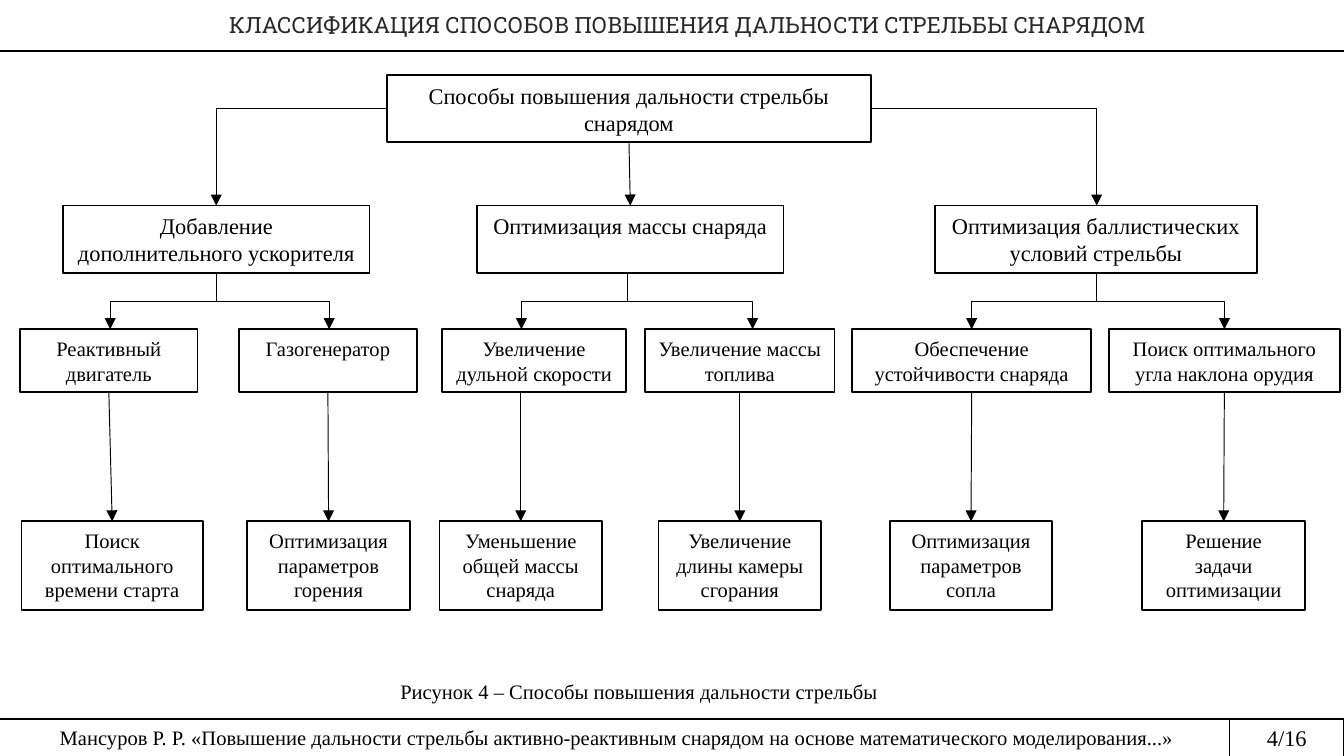
from lxml.etree import SubElement
from pptx import Presentation
from pptx.dml.color import RGBColor
from pptx.enum.shapes import MSO_CONNECTOR, MSO_SHAPE
from pptx.enum.text import MSO_ANCHOR, MSO_AUTO_SIZE, PP_ALIGN
from pptx.oxml.ns import qn
from pptx.util import Inches, Pt

BLACK = RGBColor(0, 0, 0)
WHITE = RGBColor(255, 255, 255)
GRAPHITE = RGBColor(0x29, 0x29, 0x29)
BODY_FONT = "Times New Roman"
TITLE_FONT = "Roboto Slab"

TITLE = "КЛАССИФИКАЦИЯ СПОСОБОВ ПОВЫШЕНИЯ ДАЛЬНОСТИ СТРЕЛЬБЫ СНАРЯДОМ"
CAPTION = "Рисунок 4 – Способы повышения дальности стрельбы"
FOOTER = ("Мансуров Р. Р. «Повышение дальности стрельбы активно-реактивным "
          "снарядом на основе математического моделирования...»")
PAGE = "4/16"

ROOT = ("Способы повышения дальности стрельбы снарядом", 2.88, 3.6)
BRANCHES = [
    {"box": ("Добавление дополнительного ускорителя", 0.47, 2.28), "stem": 1.61,
     "methods": [
         {"box": ("Реактивный двигатель", 0.15, 1.32), "entry": 0.82,
          "result": ("Поиск оптимального времени старта", 0.16, 1.35)},
         {"box": ("Газогенератор", 1.78, 1.32), "entry": 2.45,
          "result": ("Оптимизация параметров горения", 1.84, 1.21)}]},
    {"box": ("Оптимизация массы снаряда", 3.55, 2.28), "stem": 4.67,
     "methods": [
         {"box": ("Увеличение дульной скорости", 3.29, 1.37), "entry": 3.88,
          "result": ("Уменьшение общей массы снаряда", 3.27, 1.21)},
         {"box": ("Увеличение массы топлива", 4.8, 1.41), "entry": 5.6,
          "result": ("Увеличение длины камеры сгорания", 4.9, 1.21)}]},
    {"box": ("Оптимизация баллистических\nусловий стрельбы", 6.96, 2.39), "stem": 8.16,
     "methods": [
         {"box": ("Обеспечение устойчивости снаряда", 6.34, 1.78), "entry": 7.23,
          "result": ("Оптимизация параметров сопла", 6.62, 1.21)},
         {"box": ("Поиск оптимального угла наклона орудия", 8.25, 1.72), "entry": 9.11,
          "result": ("Решение задачи оптимизации", 8.5, 1.21)}]},
]

ROOT_LEVEL = {"top": 0.56, "height": 0.5, "size": 12}
BRANCH_LEVEL = {"top": 1.53, "height": 0.5, "size": 12}
METHOD_LEVEL = {"top": 2.45, "height": 0.47, "size": 11}
RESULT_LEVEL = {"top": 3.88, "height": 0.66, "size": 11}
TOP, BOTTOM = 0, 2

presentation = Presentation()
presentation.slide_width = Inches(10)
presentation.slide_height = Inches(10 * 9 / 16)
slide = presentation.slides.add_slide(presentation.slide_layouts[5])


def write(shape, text, size=11, font=BODY_FONT, color=BLACK, align=PP_ALIGN.CENTER,
          anchor=MSO_ANCHOR.TOP, margins=(0.1, 0.05), indent=0, space_after=0):
    frame = shape.text_frame
    frame.word_wrap = True
    frame.auto_size = MSO_AUTO_SIZE.NONE
    frame.vertical_anchor = anchor
    frame.margin_left = frame.margin_right = Inches(margins[0])
    frame.margin_top = frame.margin_bottom = Inches(margins[1])
    frame.text = text
    for paragraph in frame.paragraphs:
        paragraph.alignment = align
        paragraph.space_before = Pt(0)
        paragraph.space_after = Pt(space_after)
        if indent:
            paragraph._p.get_or_add_pPr().set("indent", str(Inches(indent)))
        for run in paragraph.runs:
            run.font.name = font
            run.font.size = Pt(size)
            run.font.bold = False
            run.font.color.rgb = color


def add_box(text, left, top, width, height, line_width=1, **text_format):
    shape = slide.shapes.add_shape(MSO_SHAPE.RECTANGLE, Inches(left), Inches(top),
                                   Inches(width), Inches(height))
    shape.shadow.inherit = False
    shape.fill.solid()
    shape.fill.fore_color.rgb = WHITE
    shape.line.color.rgb = BLACK
    shape.line.width = Pt(line_width)
    write(shape, text, **text_format)
    return shape


def add_node(node, level):
    text, left, width = node
    return add_box(text, left, level["top"], width, level["height"], size=level["size"])


def add_line(start, end, kind=MSO_CONNECTOR.STRAIGHT, width=0.5, arrow=True):
    connector = slide.shapes.add_connector(kind, *map(Inches, start + end))
    connector.line.color.rgb = BLACK
    connector.line.width = Pt(width)
    if arrow:
        SubElement(connector.line._get_or_add_ln(), qn("a:tailEnd"), type="triangle")
    SubElement(connector._element.spPr, qn("a:effectLst"))
    return connector


def add_corner(start, end):
    connector = add_line(start, end, MSO_CONNECTOR.ELBOW)
    connector._element.spPr.find(qn("a:prstGeom")).set("prst", "bentConnector2")


def add_fork(start, end):
    center_x, center_y = (start[0] + end[0]) / 2, (start[1] + end[1]) / 2
    half_drop, half_span = (end[1] - start[1]) / 2, abs(end[0] - start[0]) / 2
    rightward = end[0] > start[0]
    offset = -half_drop if rightward else half_drop
    connector = add_line((center_x - offset, center_y - half_span),
                         (center_x + offset, center_y + half_span), MSO_CONNECTOR.ELBOW)
    degrees = 270 if rightward else 90
    connector._element.spPr.find(qn("a:xfrm")).set("rot", str(degrees * 60000))


def middle(node):
    return node[1] + node[2] / 2


def bottom(level):
    return level["top"] + level["height"]


title = slide.shapes.title
title.left, title.top, title.width, title.height = map(Inches, (0, 0, 10, 0.37))
title.fill.solid()
title.fill.fore_color.rgb = WHITE
write(title, TITLE, size=12, font=TITLE_FONT, color=GRAPHITE, anchor=MSO_ANCHOR.MIDDLE,
      margins=(0.01, 0.01), indent=0.23)
add_line((0, 0.38), (10, 0.38), width=0.75, arrow=False)

footer = slide.shapes.add_textbox(*map(Inches, (0, 5.36, 9.18, 0.26)))
write(footer, FOOTER, anchor=MSO_ANCHOR.MIDDLE, margins=(0.07, 0.04), space_after=4.5)
add_line((0, 5.35), (9.18, 5.35), width=0.75, arrow=False)
add_box(PAGE, 9.15, 5.35, 0.85, 0.28, line_width=0.75, size=12, anchor=MSO_ANCHOR.MIDDLE)
caption = slide.shapes.add_textbox(*map(Inches, (2.88, 5, 5.08, 0.29)))
write(caption, CAPTION, align=PP_ALIGN.LEFT)

root_shape = add_node(ROOT, ROOT_LEVEL)
root_side = ROOT_LEVEL["top"] + ROOT_LEVEL["height"] / 2
for branch in BRANCHES:
    stem = branch["stem"]
    branch_shape = add_node(branch["box"], BRANCH_LEVEL)
    branch_top = (stem, BRANCH_LEVEL["top"])
    if stem < ROOT[1]:
        add_corner((ROOT[1], root_side), branch_top)
    elif stem > ROOT[1] + ROOT[2]:
        add_corner((ROOT[1] + ROOT[2], root_side), branch_top)
    else:
        arrow = add_line((middle(ROOT), bottom(ROOT_LEVEL)), branch_top)
        arrow.begin_connect(root_shape, BOTTOM)
        arrow.end_connect(branch_shape, TOP)
    for method in branch["methods"]:
        method_shape = add_node(method["box"], METHOD_LEVEL)
        result_shape = add_node(method["result"], RESULT_LEVEL)
        add_fork((stem, bottom(BRANCH_LEVEL)), (method["entry"], METHOD_LEVEL["top"]))
        result_middle = middle(method["result"])
        arrow = add_line((result_middle, bottom(METHOD_LEVEL)),
                         (result_middle, RESULT_LEVEL["top"]))
        if abs(middle(method["box"]) - result_middle) < 0.03:
            arrow.begin_connect(method_shape, BOTTOM)
        arrow.end_connect(result_shape, TOP)

presentation.save("out.pptx")
